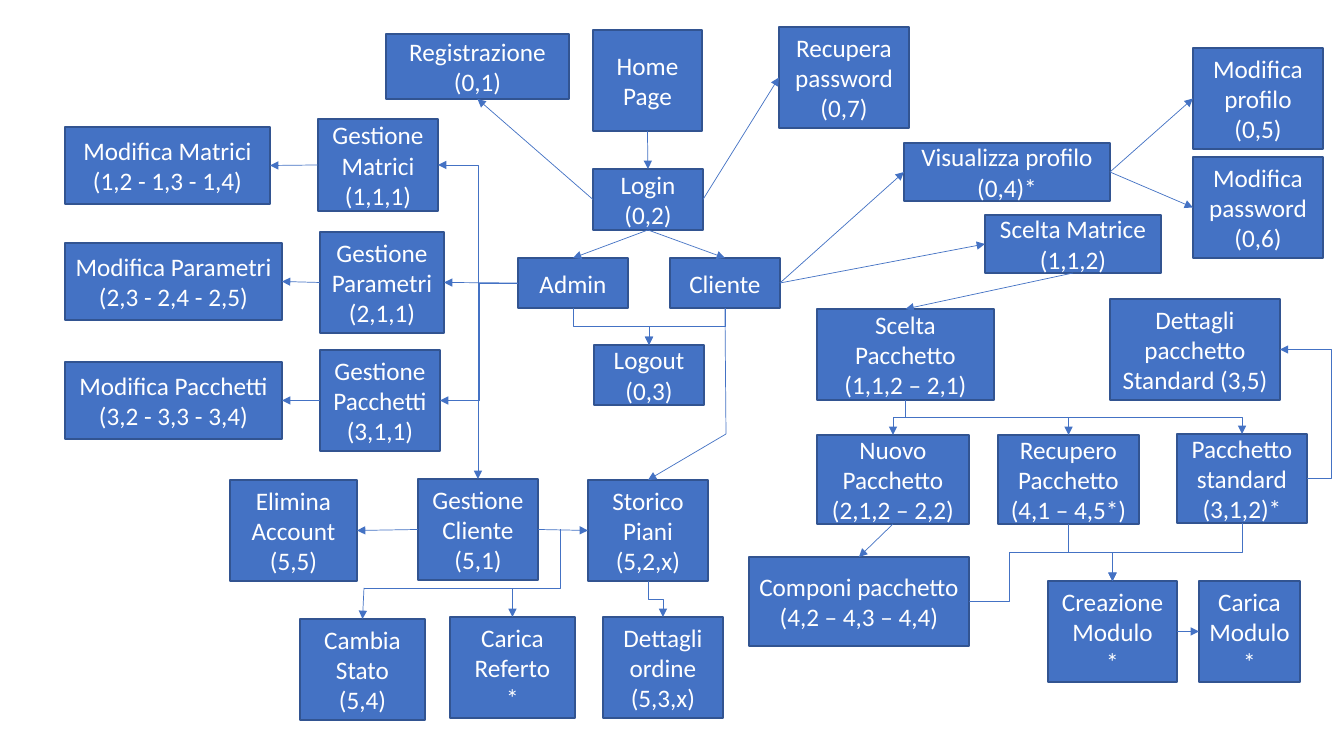
import lxml.etree
import pptx
import pptx.dml.color
import pptx.enum.shapes
import pptx.enum.text
import pptx.oxml.ns
import pptx.util

PX = 914400 / 100.8
BLUE, BORDER, WHITE = "4472C4", "325491", "FFFFFF"
TOP, LEFT, BOTTOM, RIGHT = range(4)
qn = pptx.oxml.ns.qn

# Each page of the site map: text, then left, top, width, height in px
PAGES = {
    "home": ("Home Page", 593, 30, 109, 101),
    "login": ("Login (0,2)", 593, 169, 110, 61),
    "register": ("Registrazione (0,1)", 386, 34, 183, 65),
    "recover": ("Recupera password (0,7)", 779, 27, 130, 101),
    "admin": ("Admin", 518, 258, 110, 50),
    "client": ("Cliente", 670, 258, 110, 50),
    "logout": ("Logout (0,3)", 594, 345, 110, 60),
    # Profile
    "profile": ("Visualizza profilo (0,4)*", 904, 143, 206, 58),
    "edit_profile": ("Modifica profilo (0,5)", 1193, 48, 130, 101),
    "edit_password": ("Modifica password (0,6)", 1193, 157, 130, 101),
    # Administration
    "matrices": ("Gestione Matrici (1,1,1)", 318, 119, 120, 92),
    "parameters": ("Gestione Parametri\n(2,1,1)", 320, 232, 124, 101),
    "packages": ("Gestione Pacchetti\n(3,1,1)", 320, 350, 120, 101),
    "edit_matrices": ("Modifica Matrici (1,2 - 1,3 - 1,4)", 65, 127, 205, 77),
    "edit_parameters": ("Modifica Parametri (2,3 - 2,4 - 2,5)", 65, 243, 217, 77),
    "edit_packages": ("Modifica Pacchetti (3,2 - 3,3 - 3,4)", 65, 362, 217, 77),
    # Client management
    "clients": ("Gestione Cliente\n(5,1)", 418, 479, 120, 101),
    "delete": ("Elimina Account\n(5,5)", 230, 480, 127, 101),
    "history": ("Storico Piani\n(5,2,x)", 588, 480, 120, 101),
    "state": ("Cambia Stato\n(5,4)", 300, 619, 125, 101),
    "report": ("Carica Referto\n*", 450, 617, 125, 101),
    "order": ("Dettagli ordine (5,3,x)", 603, 617, 120, 101),
    # Choice of package
    "matrix": ("Scelta Matrice (1,1,2)", 985, 215, 176, 58),
    "package": ("Scelta Pacchetto\n(1,1,2 – 2,1)", 817, 309, 177, 91),
    "new": ("Nuovo Pacchetto\n(2,1,2 – 2,2)", 817, 435, 152, 89),
    "recovered": ("Recupero Pacchetto\n(4,1 – 4,5*)", 998, 435, 141, 89),
    "standard": ("Pacchetto standard\n(3,1,2)*", 1177, 434, 130, 89),
    "details": ("Dettagli pacchetto Standard (3,5)", 1110, 299, 170, 101),
    "compose": ("Componi pacchetto\n(4,2 – 4,3 – 4,4)", 749, 557, 220, 89),
    "create_form": ("Creazione Modulo\n*", 1048, 581, 129, 101),
    "upload_form": ("Carica Modulo *", 1199, 581, 101, 101),
}

# Straight arrows: page and side left, page and side reached
STRAIGHT = [
    ("home", BOTTOM, "login", TOP),
    ("login", LEFT, "register", BOTTOM),
    ("login", RIGHT, "recover", LEFT),
    ("login", BOTTOM, "admin", TOP),
    ("login", BOTTOM, "client", TOP),
    ("client", RIGHT, "matrix", LEFT),
    ("client", RIGHT, "profile", LEFT),
    ("profile", RIGHT, "edit_profile", LEFT),
    ("profile", RIGHT, "edit_password", LEFT),
    ("matrix", BOTTOM, "package", TOP),
    ("admin", LEFT, "parameters", RIGHT),
    ("matrices", LEFT, "edit_matrices", RIGHT),
    ("parameters", LEFT, "edit_parameters", RIGHT),
    ("packages", LEFT, "edit_packages", RIGHT),
    ("new", BOTTOM, "compose", TOP),
    ("clients", RIGHT, "history", LEFT),
    ("clients", LEFT, "delete", RIGHT),
    ("create_form", RIGHT, "upload_form", LEFT),
]

# Elbows that leave sideways: ends, preset, adjustments
SIDEWAYS = [
    ("admin", LEFT, "matrices", RIGHT, "bentConnector3", [0.5]),
    ("admin", LEFT, "packages", RIGHT, "bentConnector3", [0.5]),
    ("admin", LEFT, "clients", TOP, "bentConnector2", []),
    ("standard", RIGHT, "details", RIGHT, "bentConnector3", [-0.89]),
    ("compose", RIGHT, "create_form", TOP, "bentConnector4", [0.28, 2.4]),
]

# Elbows from the bottom of one page to the top of another
DOWNWARD = [
    ("admin", "logout"), ("client", "logout"),
    ("package", "new"), ("package", "recovered"), ("package", "standard"),
    ("standard", "create_form"), ("recovered", "create_form"),
    ("history", "order"),
]


def px(length):
    return pptx.util.Emu(round(length * PX))


def color(hex_code):
    return pptx.dml.color.RGBColor.from_string(hex_code)


def side(page, site):
    """Middle of one side of a page, in px."""
    _, x, y, w, h = PAGES[page]
    return [(x + w / 2, y), (x, y + h / 2), (x + w / 2, y + h), (x + w, y + h / 2)][site]


def add_page(slide, text, x, y, w, h):
    page = slide.shapes.add_shape(
        pptx.enum.shapes.MSO_SHAPE.RECTANGLE, px(x), px(y), px(w), px(h))
    page.shadow.inherit = False
    page.fill.solid()
    page.fill.fore_color.rgb = color(BLUE)
    page.line.color.rgb = color(BORDER)
    page.line.width = pptx.util.Pt(1)
    frame = page.text_frame
    frame.word_wrap = True
    frame.vertical_anchor = pptx.enum.text.MSO_ANCHOR.MIDDLE
    frame.text = text
    for paragraph in frame.paragraphs:
        paragraph.alignment = pptx.enum.text.PP_ALIGN.CENTER
        font = paragraph.runs[0].font
        font.name = "Calibri"
        font.size = pptx.util.Pt(18)
        font.color.rgb = color(WHITE)
    return page


def add_link(slide, start, end, kind="STRAIGHT", arrow=True):
    link = slide.shapes.add_connector(
        pptx.enum.shapes.MSO_CONNECTOR[kind], *map(px, (*start, *end)))
    link.line.color.rgb = color(BLUE)
    link.line.width = pptx.util.Pt(0.5)
    properties = link._element.spPr
    if arrow:
        lxml.etree.SubElement(properties.find(qn("a:ln")), qn("a:tailEnd"), type="triangle")
    lxml.etree.SubElement(properties, qn("a:effectLst"))
    return link


def add_elbow(slide, start, end, preset="bentConnector3", bends=(0.5,)):
    link = add_link(slide, start, end, "ELBOW")
    geometry = link._element.spPr.find(qn("a:prstGeom"))
    geometry.set("prst", preset)
    for number, bend in enumerate(bends, 1):
        lxml.etree.SubElement(geometry.find(qn("a:avLst")), qn("a:gd"),
                              name=f"adj{number}", fmla=f"val {round(bend * 100000)}")
    return link


def add_down_elbow(slide, start, end, bend=0.5):
    """Elbow that leaves downwards: a sideways one turned by a quarter."""
    (x1, y1), (x2, y2) = start, end
    cx, cy = (x1 + x2) / 2, (y1 + y2) / 2
    half_w, half_h = (y2 - y1) / 2, abs(x2 - x1) / 2
    turn, way = (270, -1) if x2 > x1 else (90, 1)
    link = add_elbow(slide, (cx - way * half_w, cy - half_h),
                     (cx + way * half_w, cy + half_h), bends=(bend,))
    link._element.spPr.find(qn("a:xfrm")).set("rot", str(turn * 60000))


def main():
    deck = pptx.Presentation()
    deck.slide_width, deck.slide_height = px(1344), px(756)
    slide = deck.slides.add_slide(deck.slide_layouts[6])

    pages = {key: add_page(slide, *page) for key, page in PAGES.items()}

    # Links between pages
    for source, out, target, into in STRAIGHT:
        link = add_link(slide, side(source, out), side(target, into))
        link.begin_connect(pages[source], out)
        link.end_connect(pages[target], into)
    for source, out, target, into, preset, bends in SIDEWAYS:
        add_elbow(slide, side(source, out), side(target, into), preset, bends)
    for source, target in DOWNWARD:
        add_down_elbow(slide, side(source, BOTTOM), side(target, TOP))

    # Client to history, around the logout page
    corner = (726, 434)
    leaving = add_link(slide, side("client", BOTTOM), corner, arrow=False)
    leaving.begin_connect(pages["client"], BOTTOM)
    arriving = add_link(slide, corner, side("history", TOP))
    arriving.end_connect(pages["history"], TOP)

    # Branch from client management to report and state
    branch, bend_y = (560, 529), 588
    add_down_elbow(slide, branch, side("report", TOP), 0.67)
    state_corner = (364, bend_y)
    add_link(slide, (branch[0], bend_y), state_corner, arrow=False)
    to_state = add_link(slide, state_corner, side("state", TOP))
    to_state.end_connect(pages["state"], TOP)

    deck.save("out.pptx")


if __name__ == "__main__":
    main()
